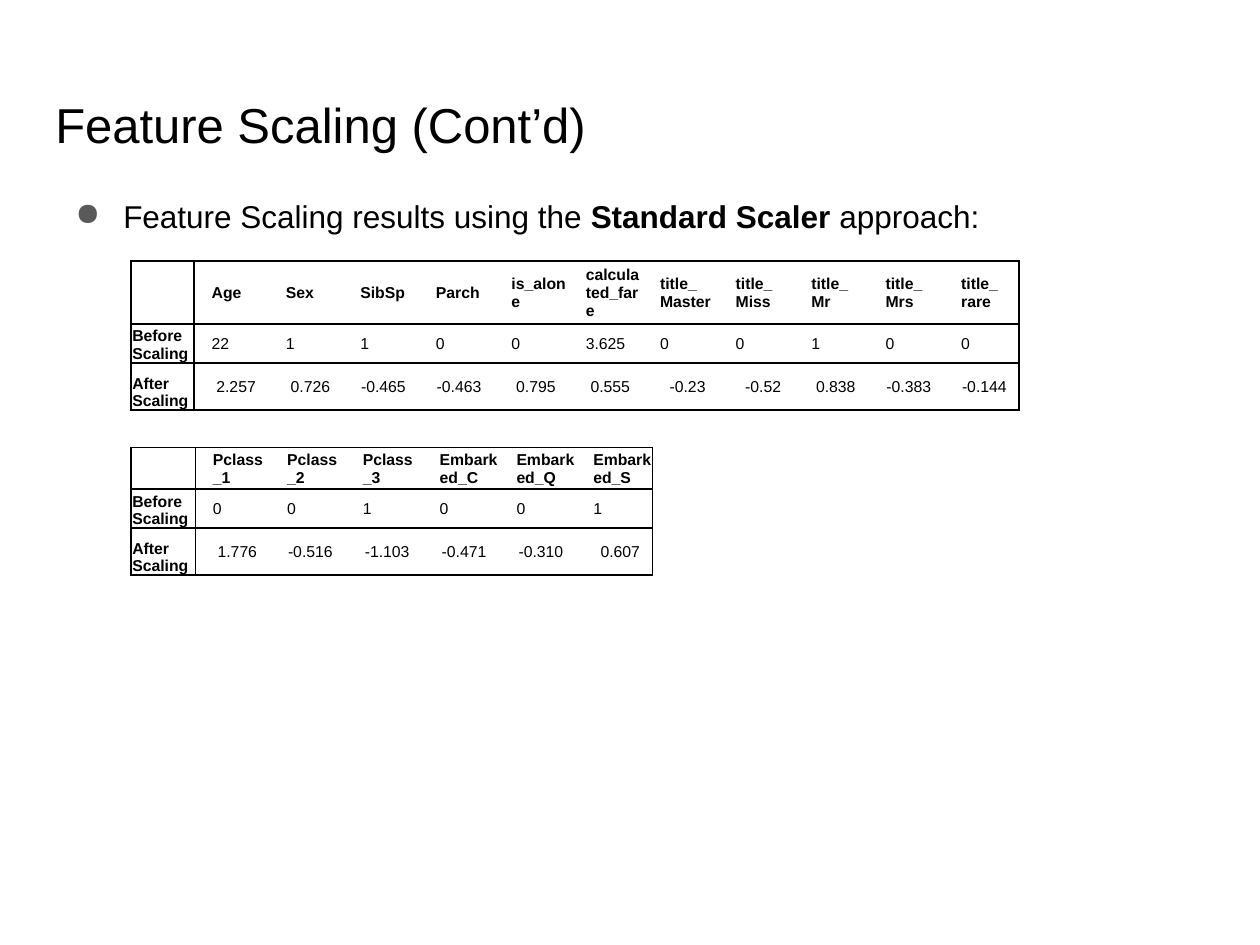
from dataclasses import dataclass

from lxml import etree
from pptx import Presentation
from pptx.dml.color import RGBColor
from pptx.enum import text
from pptx.oxml import ns
from pptx.util import Inches, Pt

BLACK = RGBColor(0x00, 0x00, 0x00)
WHITE = RGBColor(0xFF, 0xFF, 0xFF)
BULLET_GRAY = RGBColor(0x59, 0x59, 0x59)
FONT = "Arial"
LINE_SPACING = 1.15


@dataclass
class ScalingTable:
    top: float
    header_height: float
    widths: list[float]
    features: list[str]
    before: list[str]
    after: list[str]


@dataclass
class CellStyle:
    margins: tuple[float, float, float, float]  # left, top, right, bottom
    anchor: text.MSO_ANCHOR
    bold: bool = False
    align: text.PP_ALIGN = text.PP_ALIGN.LEFT
    spacing: float = 1.0


VALUE_MARGINS = (0.14, 0.01, 0.01, 0)
LABEL = CellStyle((0.01, 0.01, 0.01, 0), text.MSO_ANCHOR.BOTTOM, bold=True)
HEADER = CellStyle(VALUE_MARGINS, text.MSO_ANCHOR.MIDDLE, bold=True)
BEFORE = CellStyle(VALUE_MARGINS, text.MSO_ANCHOR.MIDDLE)
AFTER = CellStyle((0.1, 0.1, 0.1, 0.1), text.MSO_ANCHOR.TOP,
                  align=text.PP_ALIGN.RIGHT, spacing=LINE_SPACING)

TABLES = [
    ScalingTable(
        2.07, 0.5,
        [0.5, 0.59, 0.59, 0.6, 0.6, 0.59, 0.59, 0.6, 0.6, 0.59, 0.6, 0.6],
        ["Age", "Sex", "SibSp", "Parch", "is_alone", "calculated_fare",
         "title_ Master", "title_ Miss", "title_ Mr", "title_ Mrs", "title_ rare"],
        ["22", "1", "1", "0", "0", "3.625", "0", "0", "1", "0", "0"],
        ["2.257", "0.726", "-0.465", "-0.463", "0.795", "0.555",
         "-0.23", "-0.52", "0.838", "-0.383", "-0.144"]),
    ScalingTable(
        3.55, 0.33,
        [0.51, 0.59, 0.6, 0.61, 0.61, 0.61, 0.61],
        ["Pclass_1", "Pclass_2", "Pclass_3",
         "Embarked_C", "Embarked_Q", "Embarked_S"],
        ["0", "0", "1", "0", "0", "1"],
        ["1.776", "-0.516", "-1.103", "-0.471", "-0.310", "0.607"]),
]


def set_font(para, size: float) -> None:
    para.font.name = FONT
    para.font.size = Pt(size)
    para.font.color.rgb = BLACK


def add_text(page, top: float, left: float, height: float, size: float,
             spans: list[tuple[str, bool]]):
    box = page.shapes.add_textbox(Inches(left), Inches(top), Inches(9.32), Inches(height))
    frame = box.text_frame
    frame.word_wrap = True
    frame.margin_left = frame.margin_right = Inches(0.1)
    frame.margin_top = frame.margin_bottom = Inches(0.1)
    para = frame.paragraphs[0]
    set_font(para, size)
    for words, bold in spans:
        span = para.add_run()
        span.text = words
        span.font.bold = bold
    return para


def add_bullet(para) -> None:
    props = para._p.get_or_add_pPr()
    props.set("marL", str(Inches(0.5)))
    props.set("indent", str(Inches(-0.38)))
    color = etree.Element(ns.qn("a:buClr"))
    etree.SubElement(color, ns.qn("a:srgbClr"), val=str(BULLET_GRAY))
    bullet = etree.Element(ns.qn("a:buChar"), char="●")
    default_font = props.find(ns.qn("a:defRPr"))
    default_font.addprevious(color)
    default_font.addprevious(bullet)


def set_borders(cell, widths: dict[str, float]) -> None:
    """Draw the given sides (L, R, T, B) in black and clear the others."""
    props = cell._tc.get_or_add_tcPr()
    for side in "LRTB":
        line = etree.SubElement(props, ns.qn(f"a:ln{side}"))
        if side in widths:
            line.set("w", str(Pt(widths[side])))
            fill = etree.SubElement(line, ns.qn("a:solidFill"))
            etree.SubElement(fill, ns.qn("a:srgbClr"), val=str(BLACK))
        else:
            etree.SubElement(line, ns.qn("a:noFill"))


def fill_cell(cell, words: str, style: CellStyle) -> None:
    left, top, right, bottom = style.margins
    cell.margin_left, cell.margin_top = Inches(left), Inches(top)
    cell.margin_right, cell.margin_bottom = Inches(right), Inches(bottom)
    cell.vertical_anchor = style.anchor
    cell.fill.solid()
    cell.fill.fore_color.rgb = WHITE
    cell.text = words
    para = cell.text_frame.paragraphs[0]
    para.alignment = style.align
    para.line_spacing = style.spacing
    set_font(para, 9)
    para.font.bold = style.bold


def add_scaling_table(page, data: ScalingTable) -> None:
    heights = [data.header_height, 0.21, 0.21]
    table = page.shapes.add_table(
        len(heights), len(data.widths), Inches(1.04), Inches(data.top),
        Inches(sum(data.widths)), Inches(sum(heights))).table
    table.first_row = table.horz_banding = False
    for column, width in zip(table.columns, data.widths):
        column.width = Inches(width)
    for row, height in zip(table.rows, heights):
        row.height = Inches(height)

    rows = [("", data.features, HEADER),
            ("Before Scaling", data.before, BEFORE),
            ("After Scaling", data.after, AFTER)]
    last = len(data.widths) - 1
    for r, (label, values, style) in enumerate(rows):
        for c, words in enumerate([label, *values]):
            borders = {"T": 1, "B": 1}
            if c == 0:
                borders |= {"L": 1, "R": 0.75}
            elif c == 1:
                borders["L"] = 0.75
            if c == last:
                borders["R"] = 1
            cell = table.cell(r, c)
            set_borders(cell, borders)
            fill_cell(cell, words, LABEL if c == 0 else style)


def main() -> None:
    deck = Presentation()
    deck.slide_width, deck.slide_height = Inches(10), Inches(7.5)
    page = deck.slides.add_slide(deck.slide_layouts[6])

    # Statement and title
    statement = add_text(page, 1.42, 0.38, 5.26, 18, [
        ("Feature Scaling results using the ", False),
        ("Standard Scaler", True),
        (" approach:", False)])
    statement.line_spacing = LINE_SPACING
    add_bullet(statement)
    add_text(page, 0.65, 0.34, 0.83, 28, [("Feature Scaling (Cont’d)", False)])

    # Values before and after scaling
    for data in TABLES:
        add_scaling_table(page, data)

    deck.save("out.pptx")


if __name__ == "__main__":
    main()
